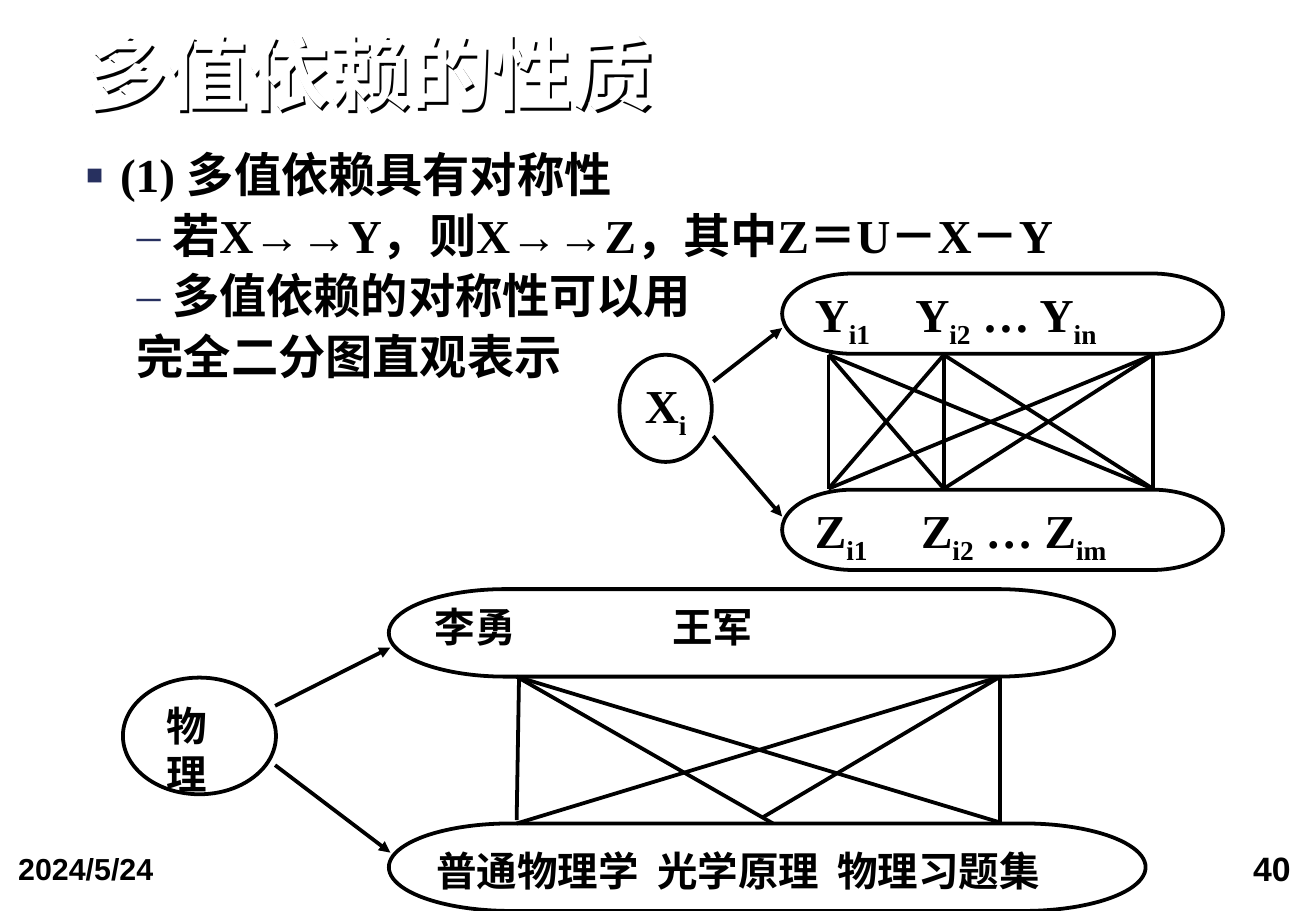
from itertools import product

from lxml import etree
from pptx import Presentation
from pptx.dml.color import RGBColor
from pptx.enum.shapes import MSO_CONNECTOR, MSO_SHAPE
from pptx.enum.text import MSO_ANCHOR, PP_ALIGN
from pptx.oxml.ns import qn
from pptx.util import Cm, Pt

BLACK = RGBColor(0x00, 0x00, 0x00)
WHITE = RGBColor(0xFF, 0xFF, 0xFF)
NAVY = RGBColor(0x27, 0x30, 0x5F)
SERIF, SANS = "Times New Roman", "Arial"


def add_child(parent, tag, **attributes):
    """Append a DrawingML element to the parent and return it."""
    child = etree.SubElement(parent, qn(tag))
    for name, value in attributes.items():
        child.set(name, str(value))
    return child


def add_run(paragraph, text, size, font=SERIF, color=BLACK, subscript=False):
    """Add one bold run to the paragraph."""
    run = paragraph.add_run()
    run.text = text
    run.font.name, run.font.size, run.font.bold = font, Pt(size), True
    run.font.color.rgb = color
    if subscript:
        run._r.get_or_add_rPr().set("baseline", "-25000")


def set_margins(frame, left, top, right, bottom):
    """Wrap the text and set its insets in centimetres."""
    frame.word_wrap = True
    frame.margin_left, frame.margin_top = Cm(left), Cm(top)
    frame.margin_right, frame.margin_bottom = Cm(right), Cm(bottom)


def add_frame(slide, box, margins=(0, 0, 0, 0)):
    """Add a text box and return its text frame."""
    frame = slide.shapes.add_textbox(*map(Cm, box)).text_frame
    set_margins(frame, *margins)
    return frame


def add_title(slide, box):
    """Add the white title in front of its black, offset shadow."""
    left, top, width, height = box
    for offset, color in ((0.05, BLACK), (0, WHITE)):
        frame = add_frame(slide, (left + offset, top + offset, width, height))
        frame.vertical_anchor = MSO_ANCHOR.BOTTOM
        paragraph = frame.paragraphs[0]
        paragraph.line_spacing = 0.9
        add_run(paragraph, "多值依赖的性质", 48, SANS, color)


def add_body(slide, box):
    """Add the bulleted statement of the symmetry property."""
    frame = add_frame(slide, box)
    lines = [
        (0, "■", "(1) 多值依赖具有对称性"),
        (1, "–", "若X→→Y，则X→→Z，其中Z＝U－X－Y"),
        (1, "–", "多值依赖的对称性可以用"),
        (1, None, "完全二分图直观表示"),
    ]
    for index, (level, bullet, text) in enumerate(lines):
        paragraph = frame.add_paragraph() if index else frame.paragraphs[0]
        paragraph.level = level
        paragraph.line_spacing = 0.9
        if index:
            paragraph.space_before = Pt(5.6)
        properties = paragraph._p.get_or_add_pPr()
        properties.set("marL", str(Cm(1.8 if level else 0.71)))
        properties.set("indent", str(Cm(-0.74 if level else -0.71)))
        if bullet:
            color = add_child(properties, "a:buClr")
            add_child(color, "a:srgbClr", val=str(NAVY))
            add_child(properties, "a:buSzPct", val=100000 if level else 60000)
            add_child(properties, "a:buFont", typeface=SERIF)
            add_child(properties, "a:buChar", char=bullet)
        else:
            add_child(properties, "a:buNone")
        add_run(paragraph, text, 28)


def add_node(slide, origin, kind, node, size):
    """Add an outlined node whose lines hold runs and tab stops."""
    left, top, width, height = node["box"]
    shape = slide.shapes.add_shape(
        kind, Cm(origin[0] + left), Cm(origin[1] + top), Cm(width), Cm(height))
    shape.shadow.inherit = False
    shape.fill.solid()
    shape.fill.fore_color.rgb = WHITE
    shape.line.color.rgb, shape.line.width = BLACK, Pt(2.25)
    frame = shape.text_frame
    set_margins(frame, *node["margins"])
    frame.vertical_anchor = MSO_ANCHOR.TOP
    for index, runs in enumerate(node["lines"]):
        paragraph = frame.add_paragraph() if index else frame.paragraphs[0]
        paragraph.alignment = PP_ALIGN.LEFT
        if node.get("tabs"):
            tabs = add_child(paragraph._p.get_or_add_pPr(), "a:tabLst")
            for position in node["tabs"]:
                add_child(tabs, "a:tab", pos=Cm(position), algn="l")
        for order, text in enumerate(runs):
            add_run(paragraph, text, size, subscript=order % 2 == 1)


def add_line(slide, origin, start, end, arrow=False):
    """Add a black line, with an arrowhead at its end if asked."""
    x, y = origin
    line = slide.shapes.add_connector(
        MSO_CONNECTOR.STRAIGHT, Cm(x + start[0]), Cm(y + start[1]),
        Cm(x + end[0]), Cm(y + end[1]))
    line.line.color.rgb, line.line.width = BLACK, Pt(2.25)
    if arrow:
        add_child(line.line._get_or_add_ln(), "a:tailEnd", type="triangle")
    add_child(line._element.spPr, "a:effectLst")


def add_bipartite_graph(slide, origin, size, source, sets, arrows, edges):
    """Add a source node, its two value sets and the lines between them."""
    add_node(slide, origin, MSO_SHAPE.OVAL, source, size)
    for value_set in sets:
        add_node(slide, origin, MSO_SHAPE.FLOWCHART_TERMINATOR, value_set, size)
    for start, end in arrows:
        add_line(slide, origin, start, end, arrow=True)
    for start, end in edges:
        add_line(slide, origin, start, end)


def add_general_graph(slide, origin):
    """Add the graph of X with the sets Y and Z."""
    columns = (4.37, 6.78, 11.15)
    source = {"box": (0, 1.7, 1.93, 2.24), "margins": (0.25, 0.13, 0, 0.13),
              "lines": [["X", "i"]]}
    sets = [
        {"box": (3.4, top, 9.22, 1.68), "margins": (0.25, 0, 0.25, 0.13),
         "tabs": [tab],
         "lines": [[letter, "i1", f"\t{letter}", "i2", f" … {letter}", last]]}
        for letter, last, top, tab in (("Z", "im", 4.52, 2.22), ("Y", "in", 0, 2.1))
    ]
    arrows = [((1.96, 2.26), (3.4, 1.14)), ((1.96, 3.4), (3.4, 5.08))]
    edges = [((upper, 1.7), (lower, 4.5)) for upper, lower in product(columns, columns)]
    add_bipartite_graph(slide, origin, 28, source, sets, arrows, edges)


def add_physics_graph(slide, origin):
    """Add the graph of the physics course with its teachers and books."""
    source = {"box": (0, 1.85, 3.2, 2.44), "margins": (0.44, 0.13, 0.25, 0.13),
              "lines": [["物"], ["理"]]}
    sets = [
        {"box": (5.56, 4.9, 15.82, 1.83), "margins": (0.25, 0.2, 0.25, 0.13),
         "tabs": [4.62, 8.38], "lines": [["普通物理学\t光学原理\t物理习题集"]]},
        {"box": (5.56, 0, 15.16, 1.83), "margins": (0.25, 0, 0.25, 0.13),
         "tabs": [4.96], "lines": [["李勇\t王军"]]},
    ]
    arrows = [((3.18, 2.44), (5.59, 1.22)), ((3.18, 3.68), (5.59, 5.51))]
    first, second = (8.23, 1.83), (18.34, 1.83)
    edges = [
        ((8.28, 1.83), (8.23, 4.83)), (first, (13.59, 4.9)), (first, (18.34, 4.88)),
        (second, (8.23, 4.9)), (second, (13.36, 4.78)), (second, (18.34, 4.88)),
    ]
    add_bipartite_graph(slide, origin, 24, source, sets, arrows, edges)


def add_footer(slide, box, text, size, alignment):
    """Add a date or page number."""
    paragraph = add_frame(slide, box, (0.33, 0.15, 0.33, 0.15)).paragraphs[0]
    paragraph.alignment = alignment
    add_run(paragraph, text, size, SANS)


def main():
    """Build the slide and save it."""
    presentation = Presentation()
    presentation.slide_width, presentation.slide_height = Cm(27.51), Cm(19.05)
    slide = presentation.slides.add_slide(presentation.slide_layouts[6])
    add_footer(slide, (20.35, 17.58, 6.96, 1.47), "40", 20, PP_ALIGN.RIGHT)
    add_footer(slide, (0.05, 17.63, 6.38, 1.42), "2024/5/24", 18, PP_ALIGN.LEFT)
    add_title(slide, (1.8, 0.71, 24.51, 1.83))
    add_body(slide, (1.8, 3.18, 24.51, 4.98))
    add_general_graph(slide, (12.95, 5.72))
    add_physics_graph(slide, (2.57, 12.32))
    presentation.save("out.pptx")


if __name__ == "__main__":
    main()
